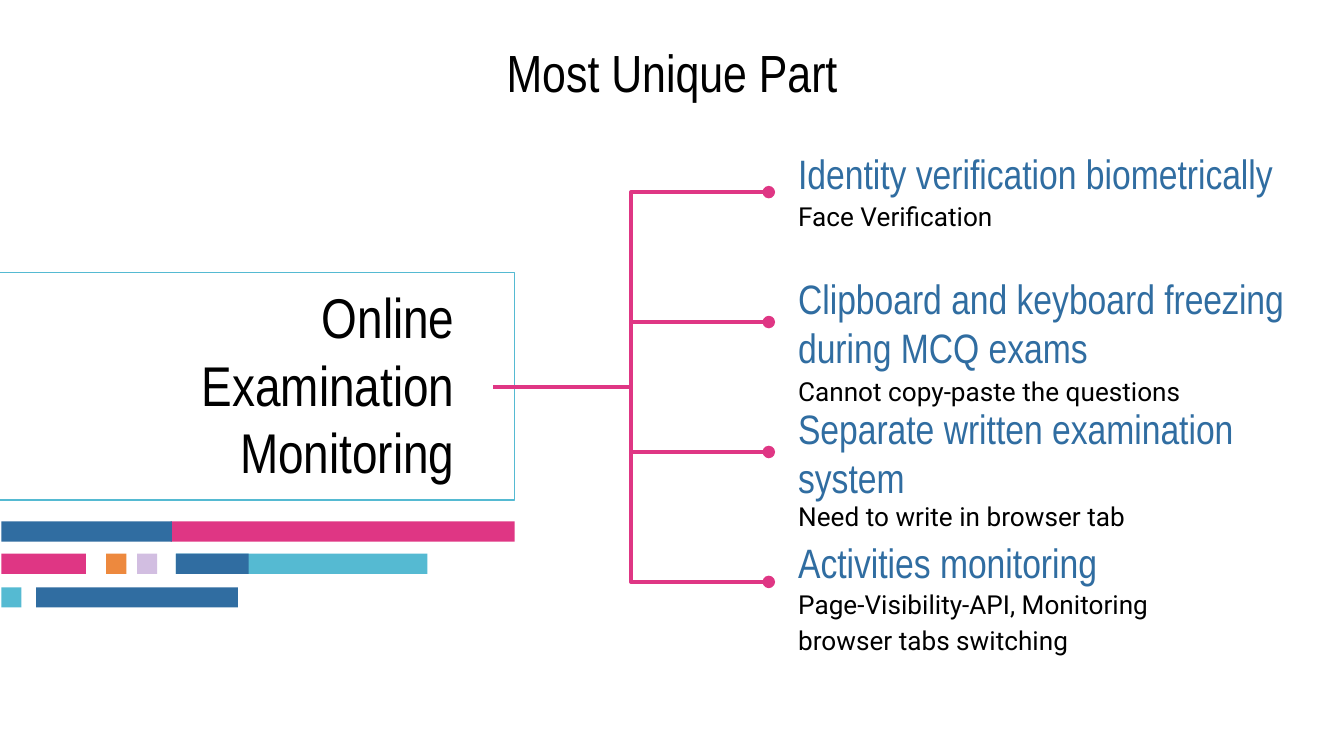
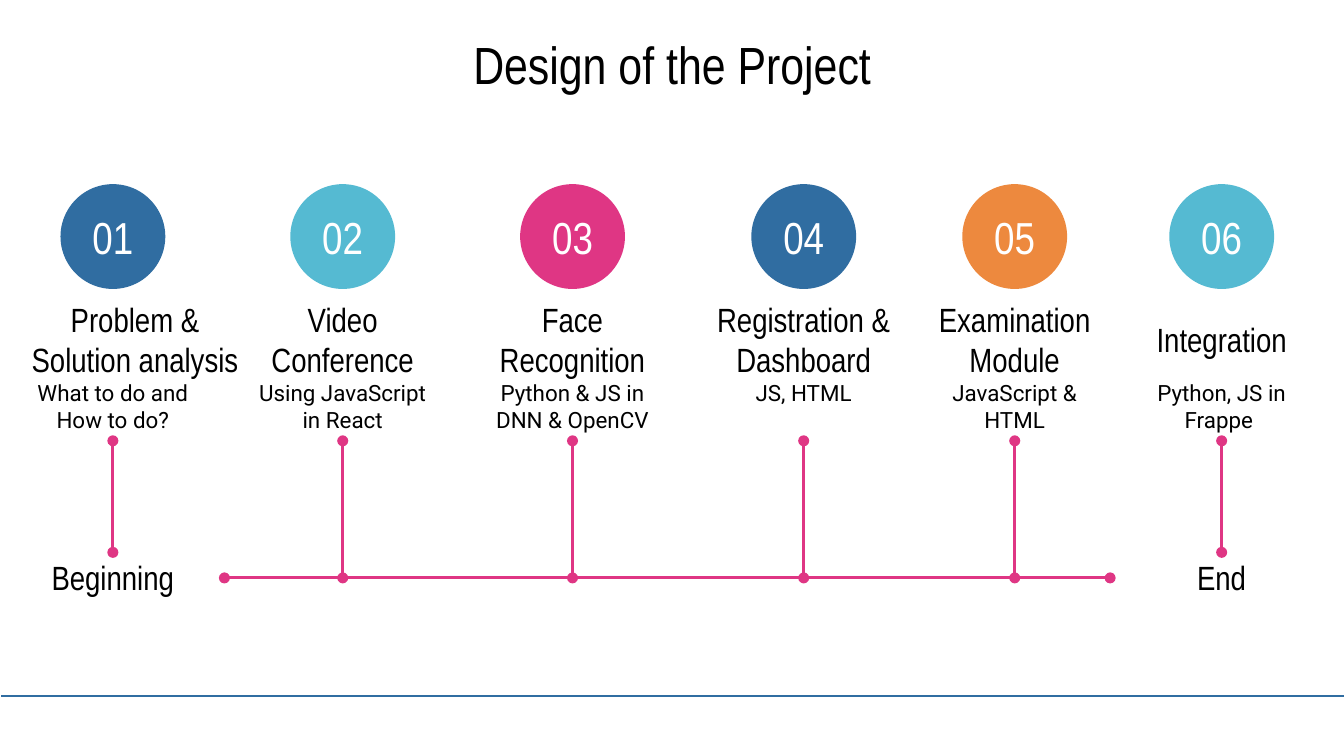
"""Build two slides: the monitoring feature tree and the project timeline."""
from lxml import etree
from pptx import Presentation
from pptx.dml.color import RGBColor
from pptx.enum.shapes import MSO_CONNECTOR as Connector, MSO_SHAPE as Shape
from pptx.enum.text import MSO_ANCHOR as Anchor, PP_ALIGN as Align
from pptx.oxml.ns import qn
from pptx.util import Inches, Pt

BLACK = RGBColor(0x00, 0x00, 0x00)
WHITE = RGBColor(0xFF, 0xFF, 0xFF)
BLUE = RGBColor(0x30, 0x6D, 0xA1)
CYAN = RGBColor(0x55, 0xBA, 0xD2)
PINK = RGBColor(0xDF, 0x36, 0x84)
ORANGE = RGBColor(0xED, 0x89, 0x3E)
PURPLE = RGBColor(0x70, 0x30, 0xA0)
HEADING_FONT, BODY_FONT = "Arial Narrow", "Roboto"

TITLE = {"size": 28, "align": Align.CENTER}
FEATURE = {"size": 22, "color": BLUE, "anchor": Anchor.MIDDLE, "inset": 0}
FEATURE_NOTE = {"size": 14, "font": BODY_FONT, "inset": 0, "line_spacing": 1.15}
TOPIC = {"size": 30, "align": Align.RIGHT, "anchor": Anchor.MIDDLE, "inset": 0}
STEP = {"size": 18, "align": Align.CENTER, "anchor": Anchor.MIDDLE, "space_after": Pt(12)}
STEP_NOTE = {"size": 12, "font": BODY_FONT, "align": Align.CENTER, "space_after": Pt(12)}
NUMBER = {"size": 24, "color": WHITE, "align": Align.CENTER, "anchor": Anchor.MIDDLE}

FEATURES = [
    ("Identity verification biometrically", (1.15, 4.16, 0.28),
     "Face Verification", (1.46, 2.95, 0.3)),
    ("Clipboard and keyboard freezing during MCQ exams", (2.26, 4.16, 0.28),
     "Cannot copy-paste the questions", (2.76, 3.76, 0.28)),
    ("Separate written examination system", (3.24, 4.16, 0.26),
     "Need to write in browser tab", (3.69, 2.95, 0.3)),
    ("Activities monitoring", (4.03, 2.95, 0.3),
     "Page-Visibility-API, Monitoring browser tabs switching", (4.34, 2.95, 0.3)),
]
FEATURE_LEFT = 5.84
BRANCH_TOP, BRANCH_BOTTOM = 1.43, 4.33

BAR_ROWS = [
    (3.88, [(1.27, 2.56, PINK, 100), (0.01, 1.27, BLUE, 100)]),
    (4.12, [(1.31, 1.87, CYAN, 100), (1.31, 0.54, BLUE, 100), (0.01, 0.63, PINK, 100),
            (1.02, 0.15, PURPLE, 31), (0.79, 0.15, ORANGE, 100)]),
    (4.37, [(0.01, 0.15, CYAN, 100), (0.27, 1.5, BLUE, 100)]),
]
BAR_HEIGHT = 0.15

STEPS = [
    (0.84, "Problem & Solution analysis", 1.93, "What to do and How to do?", BLUE),
    (2.55, "Video Conference", 1.6, "Using JavaScript in React", CYAN),
    (4.26, "Face Recognition", 1.6, "Python & JS in DNN & OpenCV", PINK),
    (5.98, "Registration & Dashboard", 1.6, "JS, HTML", BLUE),
    (7.55, "Examination Module", 1.6, "JavaScript & HTML", ORANGE),
    (9.09, "Integration", 1.6, "Python, JS in Frappe ", CYAN),
]
STEP_WIDTH, CIRCLE = 1.6, 0.78
TIMELINE_Y, STEM_TOP, LABEL_TOP = 4.3, 3.28, 4.11
END_LABELS = {0: "Beginning", len(STEPS) - 1: "End"}


def write(shape, text, size, font=HEADING_FONT, color=BLACK, anchor=Anchor.TOP,
          inset=0.1, align=Align.LEFT, **spacing):
    frame = shape.text_frame
    frame_format = {"word_wrap": True, "vertical_anchor": anchor,
                    "margin_left": Inches(0.1), "margin_right": Inches(0.1),
                    "margin_top": Inches(inset), "margin_bottom": Inches(inset)}
    for name, value in frame_format.items():
        setattr(frame, name, value)
    paragraph = frame.paragraphs[0]
    for name, value in {"alignment": align, **spacing}.items():
        setattr(paragraph, name, value)
    run = paragraph.add_run()
    run.text = text
    for name, value in {"name": font, "size": Pt(size)}.items():
        setattr(run.font, name, value)
    run.font.color.rgb = color


def add_text(slide, text, box, style):
    write(slide.shapes.add_textbox(*map(Inches, box)), text, **style)


def add_filled(slide, kind, box, color, opacity=100, outline=None):
    shape = slide.shapes.add_shape(kind, *map(Inches, box))
    shape.shadow.inherit = False
    shape.fill.solid()
    shape.fill.fore_color.rgb = color
    if opacity < 100:
        color_node = next(shape._element.spPr.iter(qn("a:srgbClr")))
        etree.SubElement(color_node, qn("a:alpha"), val=str(opacity * 1000))
    if outline:
        shape.line.color.rgb = outline
        shape.line.width = Pt(0.75)
    else:
        shape.line.fill.background()
    return shape


def add_line(slide, start, end, color=PINK, width=1.5, kind=Connector.STRAIGHT,
             ends=("headEnd", "tailEnd")):
    connector = slide.shapes.add_connector(kind, *map(Inches, start + end))
    connector.line.color.rgb = color
    connector.line.width = Pt(width)
    properties = connector._element.spPr
    for name in ends:
        etree.SubElement(properties.find(qn("a:ln")), qn(f"a:{name}"), type="oval")
    etree.SubElement(properties, qn("a:effectLst"))


def add_slide(presentation, title, title_box):
    slide = presentation.slides.add_slide(presentation.slide_layouts[6])
    slide.background.fill.solid()
    slide.background.fill.fore_color.rgb = WHITE
    add_text(slide, title, title_box, TITLE)
    return slide


def build_feature_tree(presentation):
    slide = add_slide(presentation, "Most Unique Part", (1.4, 0.2, 7.2, 0.73))
    add_filled(slide, Shape.RECTANGLE, (-0.01, 2.03, 3.84, 1.69), WHITE, outline=CYAN)
    add_text(slide, "Online Examination Monitoring", (0.82, 2.64, 2.66, 0.43), TOPIC)
    for top, bars in BAR_ROWS:
        for left, width, color, opacity in bars:
            add_filled(slide, Shape.RECTANGLE, (left, top, width, BAR_HEIGHT), color, opacity)
    branch_gap = (BRANCH_BOTTOM - BRANCH_TOP) / (len(FEATURES) - 1)
    for index, (heading, heading_box, note, note_box) in enumerate(FEATURES):
        add_text(slide, heading, (FEATURE_LEFT, *heading_box), FEATURE)
        add_text(slide, note, (FEATURE_LEFT, *note_box), FEATURE_NOTE)
        add_line(slide, (3.67, 2.88), (5.72, BRANCH_TOP + index * branch_gap),
                 width=2.25, kind=Connector.ELBOW, ends=("tailEnd",))


def build_timeline(presentation):
    slide = add_slide(presentation, "Design of the Project", (0.5, 0.14, 9, 0.63))
    add_line(slide, (0.01, 5.18), (10.03, 5.18), BLUE, 0.75, ends=())
    add_line(slide, (1.67, TIMELINE_Y), (8.26, TIMELINE_Y))
    for index, (center, heading, heading_width, note, color) in enumerate(STEPS):
        left = center - STEP_WIDTH / 2
        add_text(slide, note, (left, 2.72, STEP_WIDTH, 0.57), STEP_NOTE)
        add_text(slide, heading, (left, 2.34, heading_width, 0.37), STEP)
        circle = add_filled(slide, Shape.OVAL, (center - CIRCLE / 2, 1.37, CIRCLE, CIRCLE), color)
        write(circle, f"{index + 1:02d}", **NUMBER)
        stem_bottom = LABEL_TOP if index in END_LABELS else TIMELINE_Y
        add_line(slide, (center, stem_bottom), (center, STEM_TOP))
        if index in END_LABELS:
            add_text(slide, END_LABELS[index], (center - 0.83, LABEL_TOP, 1.66, 0.37), STEP)


def main():
    presentation = Presentation()
    presentation.slide_width = Inches(10)
    presentation.slide_height = Inches(10) * 9 // 16
    build_feature_tree(presentation)
    build_timeline(presentation)
    presentation.save("out.pptx")


if __name__ == "__main__":
    main()
